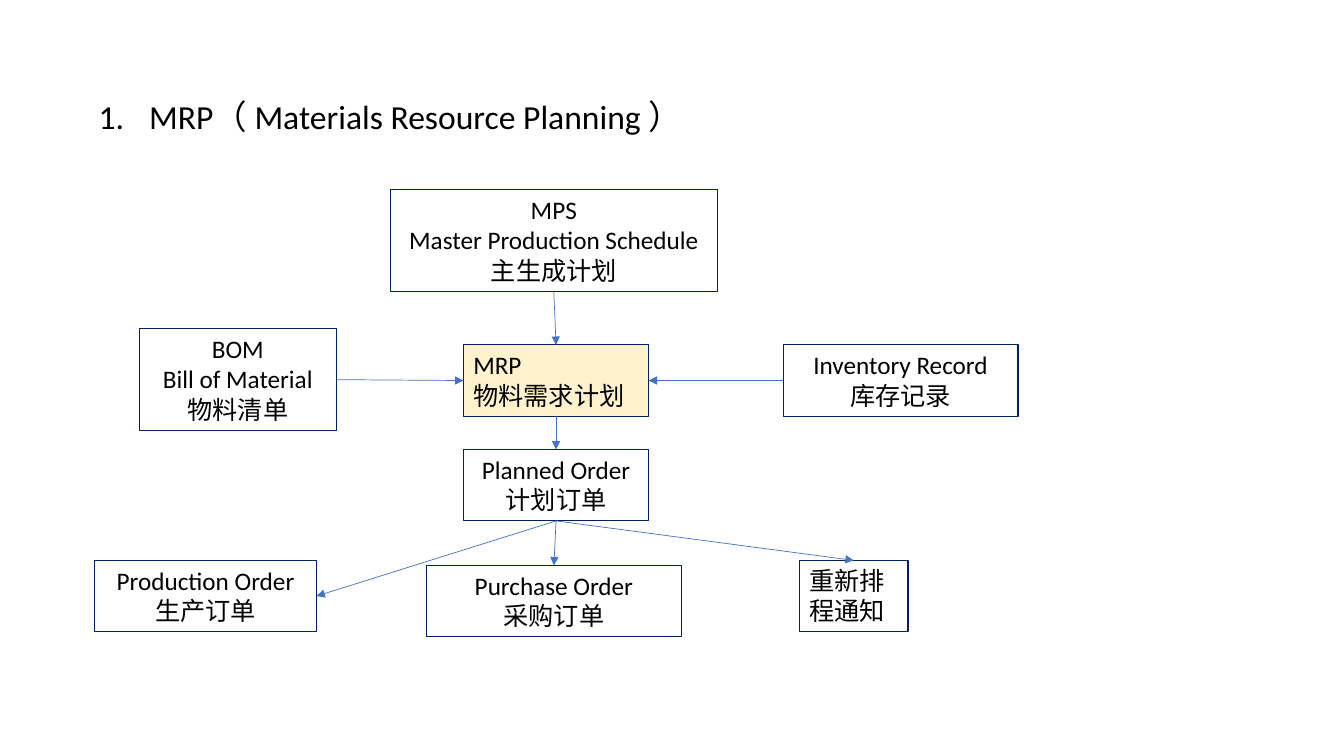
from lxml.etree import SubElement
from pptx import Presentation
from pptx.dml.color import RGBColor
from pptx.enum.shapes import MSO_CONNECTOR, MSO_SHAPE
from pptx.enum.text import MSO_ANCHOR, PP_ALIGN
from pptx.oxml.ns import qn
from pptx.util import Pt

COLORS = {"text": "000000", "border": "002060", "core": "FFF2CC", "arrow": "4472C4"}
TOP, LEFT, BOTTOM, RIGHT = range(4)  # connection sites of a rectangle
TWO_LINES, THREE_LINES = 51, 73  # box heights


def color(name):
    return RGBColor.from_string(COLORS[name])


def add_text(paragraph, text, size):
    run = paragraph.add_run()
    run.text = text
    run.font.size = Pt(size)
    run.font.name = "Calibri"
    run.font.color.rgb = color("text")


prs = Presentation()
prs.slide_width, prs.slide_height = Pt(960), Pt(540)
slide = prs.slides.add_slide(prs.slide_layouts[6])

# Numbered heading
heading = slide.shapes.add_textbox(Pt(63.4), Pt(68.4), Pt(838.8), Pt(413.3)).text_frame
heading.word_wrap = True
heading_line = heading.paragraphs[0]
heading_line.line_spacing = 0.9
heading_line.space_before = Pt(10)
add_text(heading_line, "MRP（ Materials Resource Planning ）", 24)
numbering = heading_line._p.get_or_add_pPr()
numbering.set("marL", str(Pt(36)))
numbering.set("indent", str(-Pt(36)))
SubElement(numbering, qn("a:buFont"), typeface="+mj-lt")
SubElement(numbering, qn("a:buAutoNum"), type="arabicPeriod")

# Boxes: key, left, top, width, height, alignment, lines
CENTER, START = PP_ALIGN.CENTER, PP_ALIGN.LEFT
STEPS = [
    ("mps", 278.6, 135.4, 234, THREE_LINES, CENTER,
     ["MPS", "Master Production Schedule", "主生成计划"]),
    ("mrp", 331, 246.3, 132.4, TWO_LINES, START, ["MRP", "物料需求计划"]),
    ("planned", 331, 321.1, 132.4, TWO_LINES, CENTER, ["Planned Order", "计划订单"]),
    ("bom", 99.4, 234.7, 141, THREE_LINES, CENTER,
     ["BOM", "Bill of Material", "物料清单"]),
    ("production", 67.7, 400.3, 158.4, TWO_LINES, CENTER,
     ["Production Order", "生产订单"]),
    ("purchase", 304.6, 403.9, 182.2, TWO_LINES, CENTER, ["Purchase Order", "采购订单"]),
    ("reschedule", 571, 400.3, 77.6, TWO_LINES, START, ["重新排程通知"]),
    ("inventory", 559.4, 246.3, 167.8, TWO_LINES, CENTER,
     ["Inventory Record", "库存记录"]),
]
boxes = {}
for key, left, top, width, height, alignment, lines in STEPS:
    box = slide.shapes.add_shape(
        MSO_SHAPE.RECTANGLE, Pt(left), Pt(top), Pt(width), Pt(height))
    boxes[key] = box
    box.shadow.inherit = False
    box.line.color.rgb = color("border")
    box.line.width = Pt(0.75)
    if key == "mrp":
        box.fill.solid()
        box.fill.fore_color.rgb = color("core")
    else:
        box.fill.background()
    frame = box.text_frame
    frame.word_wrap = True
    frame.vertical_anchor = MSO_ANCHOR.TOP
    for index, line in enumerate(lines):
        paragraph = frame.add_paragraph() if index else frame.paragraphs[0]
        paragraph.alignment = alignment
        add_text(paragraph, line, 18)

# Arrows glued to the boxes
FLOWS = [
    ("mps", BOTTOM, "mrp", TOP),
    ("bom", RIGHT, "mrp", LEFT),
    ("inventory", LEFT, "mrp", RIGHT),
    ("mrp", BOTTOM, "planned", TOP),
    ("planned", BOTTOM, "production", RIGHT),
    ("planned", BOTTOM, "purchase", TOP),
    ("planned", BOTTOM, "reschedule", TOP),
]
for source, source_site, target, target_site in FLOWS:
    arrow = slide.shapes.add_connector(MSO_CONNECTOR.STRAIGHT, 0, 0, 0, 0)
    arrow.begin_connect(boxes[source], source_site)
    arrow.end_connect(boxes[target], target_site)
    arrow.line.color.rgb = color("arrow")
    arrow.line.width = Pt(0.5)
    SubElement(arrow.line._get_or_add_ln(), qn("a:tailEnd"), type="triangle")
    SubElement(arrow._element.spPr, qn("a:effectLst"))

prs.save("out.pptx")
